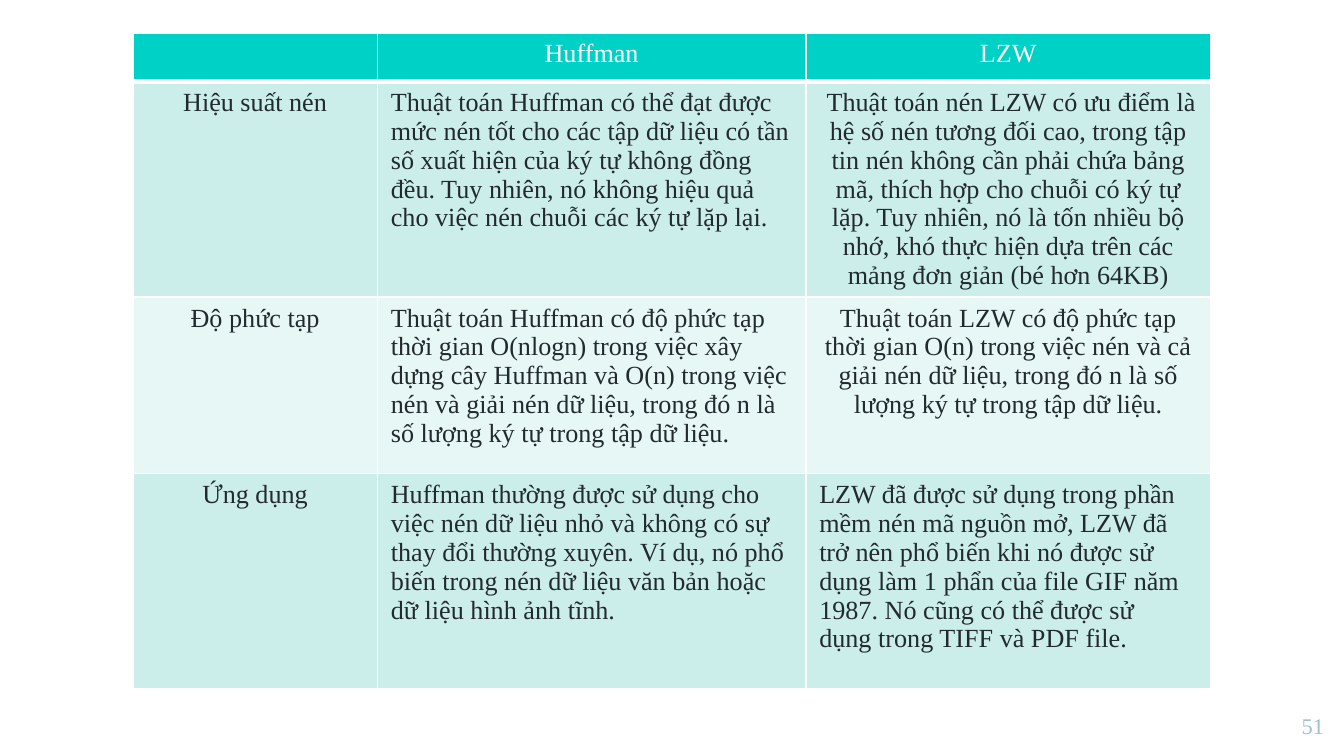
import pptx
import pptx.util
import pptx.dml.color
import pptx.enum.text
from lxml import etree

Pt = pptx.util.Pt
Rgb = pptx.dml.color.RGBColor.from_string
Align = pptx.enum.text.PP_ALIGN
NS = "http://schemas.openxmlformats.org/drawingml/2006/main"

theme = {
    "font": "Times New Roman",
    "size": 14,
    "small": 12,
    "head": "00D1C6",
    "bands": ["CCEEEA", "E7F7F5"],
    "white": "FFFFFF",
    "ink": "212A2E",
    "number": "A1BECC",
}


def style(para, size, color, align):
    para.alignment = align
    para.font.name = theme["font"]
    para.font.size = Pt(size)
    para.font.color.rgb = Rgb(color)


def border(cell, side, width):
    """Rule one side (L, R, T or B) of a cell in white."""
    props = cell._tc.get_or_add_tcPr()
    line = etree.SubElement(props, f"{{{NS}}}ln{side}", w=str(Pt(width)))
    fill = etree.SubElement(line, f"{{{NS}}}solidFill")
    etree.SubElement(fill, f"{{{NS}}}srgbClr", val=theme["white"])


deck = pptx.Presentation()
deck.slide_width, deck.slide_height = Pt(720), Pt(405)
slide = deck.slides.add_slide(deck.slide_layouts[6])

# Comparison table
C, L = Align.CENTER, Align.LEFT
rows = [
    [("", C), ("Huffman", C), ("LZW", C)],
    [
        ("Hiệu suất nén", C),
        ("Thuật toán Huffman có thể đạt được mức nén tốt cho các tập dữ liệu "
         "có tần số xuất hiện của ký tự không đồng đều. Tuy nhiên, nó không "
         "hiệu quả cho việc nén chuỗi các ký tự lặp lại.", L),
        (" Thuật toán nén LZW có ưu điểm là hệ số nén tương đối cao, trong "
         "tập tin nén không cần phải chứa bảng mã, thích hợp cho chuỗi có ký "
         "tự lặp. Tuy nhiên, nó là tốn nhiều bộ nhớ, khó thực hiện dựa trên "
         "các mảng đơn giản (bé hơn 64KB)", C),
    ],
    [
        ("Độ phức tạp", C),
        ("Thuật toán Huffman có độ phức tạp thời gian O(nlogn) trong việc xây "
         "dựng cây Huffman và O(n) trong việc nén và giải nén dữ liệu, trong "
         "đó n là số lượng ký tự trong tập dữ liệu.", L),
        ("Thuật toán LZW có độ phức tạp thời gian O(n) trong việc nén và cả "
         "giải nén dữ liệu, trong đó n là số lượng ký tự trong tập dữ liệu.", C),
    ],
    [
        ("Ứng dụng", C),
        ("Huffman thường được sử dụng cho việc nén dữ liệu nhỏ và không có sự "
         "thay đổi thường xuyên. Ví dụ, nó phổ biến trong nén dữ liệu văn bản "
         "hoặc dữ liệu hình ảnh tĩnh.", L),
        ("LZW đã được sử dụng trong phần mềm nén mã nguồn mở, LZW đã trở nên "
         "phổ biến khi nó được sử dụng làm 1 phẩn của file GIF năm 1987. Nó "
         "cũng có thể được sử\ndụng trong TIFF và PDF file.", L),
    ],
]
widths = [131, 229.5, 217]
heights = [26, 115.5, 94.5, 115.5]

table = slide.shapes.add_table(
    len(rows), len(widths), Pt(71.2), Pt(17.6), Pt(sum(widths)), Pt(sum(heights))
).table
table.first_row = table.horz_banding = False
for col, width in zip(table.columns, widths):
    col.width = Pt(width)

for r, row in enumerate(rows):
    table.rows[r].height = Pt(heights[r])
    back = theme["bands"][(r - 1) % 2] if r else theme["head"]
    ink = theme["ink"] if r else theme["white"]
    for c, (text, align) in enumerate(row):
        cell = table.cell(r, c)
        for side in "LRTB":
            border(cell, side, 3 if r == 0 and side == "B" else 1)
        cell.fill.solid()
        cell.fill.fore_color.rgb = Rgb(back)
        cell.text = text
        for para in cell.text_frame.paragraphs:
            style(para, theme["size"], ink, align)

# Slide number
box = slide.shapes.add_textbox(Pt(679.7), Pt(374.4), Pt(36.7), Pt(31))
frame = box.text_frame
frame.word_wrap = True
frame.margin_left = frame.margin_right = Pt(7.2)
frame.margin_top = frame.margin_bottom = Pt(7.2)
frame.text = "51"
style(frame.paragraphs[0], theme["small"], theme["number"], Align.RIGHT)

deck.save("out.pptx")
